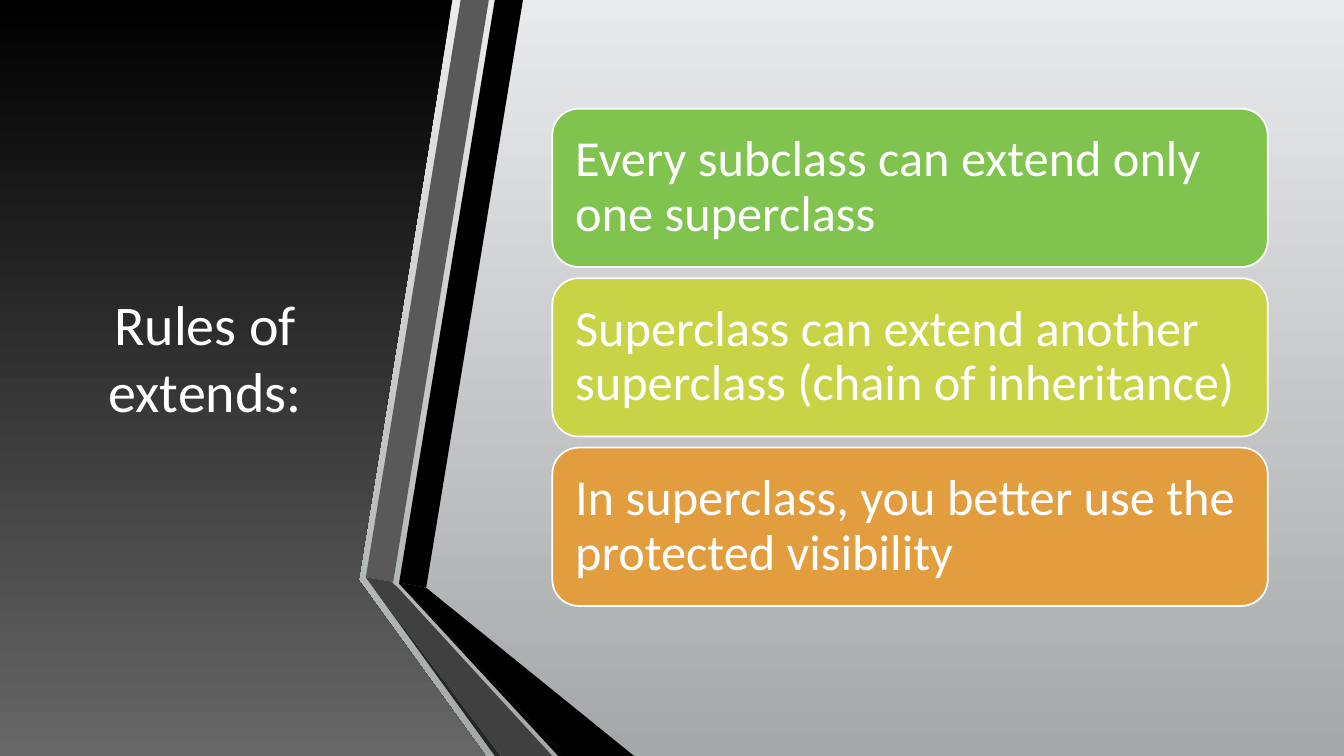
import pptx
import pptx.util
import pptx.dml.color
import pptx.enum.shapes
import pptx.enum.text

Cm = pptx.util.Cm

# Content
TITLE = "Rules of extends:"
RULES = [
    ("Every subclass can extend only one superclass", "80C34F"),
    ("Superclass can extend another superclass (chain of inheritance)", "C8D346"),
    ("In superclass, you better use the protected visibility", "E29D3E"),
]

THEME = {
    "font": "Calibri", "title_size": 40, "rule_size": 36, "text": "FFFFFF",
    "background": ("E9EAEB", "A5A8A9"), "panel": ("000000", "676767"),
    "black": "000000", "grey": "595959", "shade": "262626", "dark": "404040",
}

# Geometry in centimetres
PAGE_WIDTH, PAGE_HEIGHT = 33.87, 19.05
PANEL = [(0, 0), (11.4, 0), (9.04, 14.62), (12.24, PAGE_HEIGHT), (0, PAGE_HEIGHT)]
RIBBONS = [
    ("black", [(10.06, 14.68), (10.74, 14.81), (13.18, 0), (12.47, 0)]),
    ("grey", [(12.32, 0), (11.61, 0), (9.22, 14.55), (9.91, 14.66)]),
    ("shade", [(9.22, 14.55), (12.47, PAGE_HEIGHT), (12.62, PAGE_HEIGHT)]),
    ("black", [(10.06, 14.71), (14.07, PAGE_HEIGHT), (14.22, PAGE_HEIGHT)]),
    ("black", [(10.06, 14.71), (14.22, PAGE_HEIGHT), (15.98, PAGE_HEIGHT),
               (10.74, 14.81), (10.06, 14.68)]),
    ("dark", [(13.92, PAGE_HEIGHT), (10.03, 14.81), (9.88, 14.68), (9.91, 14.66),
              (9.22, 14.55), (12.62, PAGE_HEIGHT)]),
]
TITLE_BOX = (1.5, 1.9, 7.34, 14.17)
RULE_LEFT, RULE_TOP, RULE_WIDTH, RULE_HEIGHT, RULE_GAP = 13.92, 2.74, 18.03, 3.99, 0.28


def rgb(value):
    return pptx.dml.color.RGBColor.from_string(value)


def paint(fill, colour):
    """Apply a solid colour, or a top-to-bottom gradient for a pair of colours."""
    if isinstance(colour, tuple):
        fill.gradient()
        fill.gradient_angle = 270
        for stop, value in zip(fill.gradient_stops, colour):
            stop.color.rgb = rgb(value)
    else:
        fill.solid()
        fill.fore_color.rgb = rgb(colour)


def add_outline(page, points, colour):
    corners = [(Cm(x), Cm(y)) for x, y in points]
    builder = page.shapes.build_freeform(*corners[0])
    builder.add_line_segments(corners[1:], close=True)
    shape = builder.convert_to_shape()
    shape.shadow.inherit = False
    paint(shape.fill, colour)
    shape.line.fill.background()


def write_text(box, text, size, align, spacing=1.0, margin=None):
    frame = box.text_frame
    frame.word_wrap = True
    frame.vertical_anchor = pptx.enum.text.MSO_ANCHOR.MIDDLE
    if margin is not None:
        frame.margin_left = frame.margin_right = Cm(margin)
        frame.margin_top = frame.margin_bottom = Cm(margin)
    para = frame.paragraphs[0]
    para.alignment = align
    para.line_spacing = spacing
    span = para.add_run()
    span.text = text
    span.font.name = THEME["font"]
    span.font.size = pptx.util.Pt(size)
    span.font.color.rgb = rgb(THEME["text"])


def main():
    deck = pptx.Presentation()
    deck.slide_width, deck.slide_height = Cm(PAGE_WIDTH), Cm(PAGE_HEIGHT)
    page = deck.slides.add_slide(deck.slide_layouts[6])
    paint(page.background.fill, THEME["background"])

    # Left panel and title
    add_outline(page, PANEL, THEME["panel"])
    title = page.shapes.add_textbox(*map(Cm, TITLE_BOX))
    write_text(title, TITLE, THEME["title_size"], pptx.enum.text.PP_ALIGN.CENTER)

    # Folded ribbons
    for colour, points in RIBBONS:
        add_outline(page, points, THEME[colour])

    # Rule cards
    for index, (text, colour) in enumerate(RULES):
        top = RULE_TOP + index * (RULE_HEIGHT + RULE_GAP)
        card = page.shapes.add_shape(
            pptx.enum.shapes.MSO_SHAPE.ROUNDED_RECTANGLE,
            Cm(RULE_LEFT), Cm(top), Cm(RULE_WIDTH), Cm(RULE_HEIGHT))
        card.shadow.inherit = False
        paint(card.fill, colour)
        card.line.color.rgb = rgb(THEME["text"])
        card.line.width = pptx.util.Pt(1.25)
        write_text(card, text, THEME["rule_size"], pptx.enum.text.PP_ALIGN.LEFT,
                   spacing=0.9, margin=0.38)

    deck.save("out.pptx")


if __name__ == "__main__":
    main()
